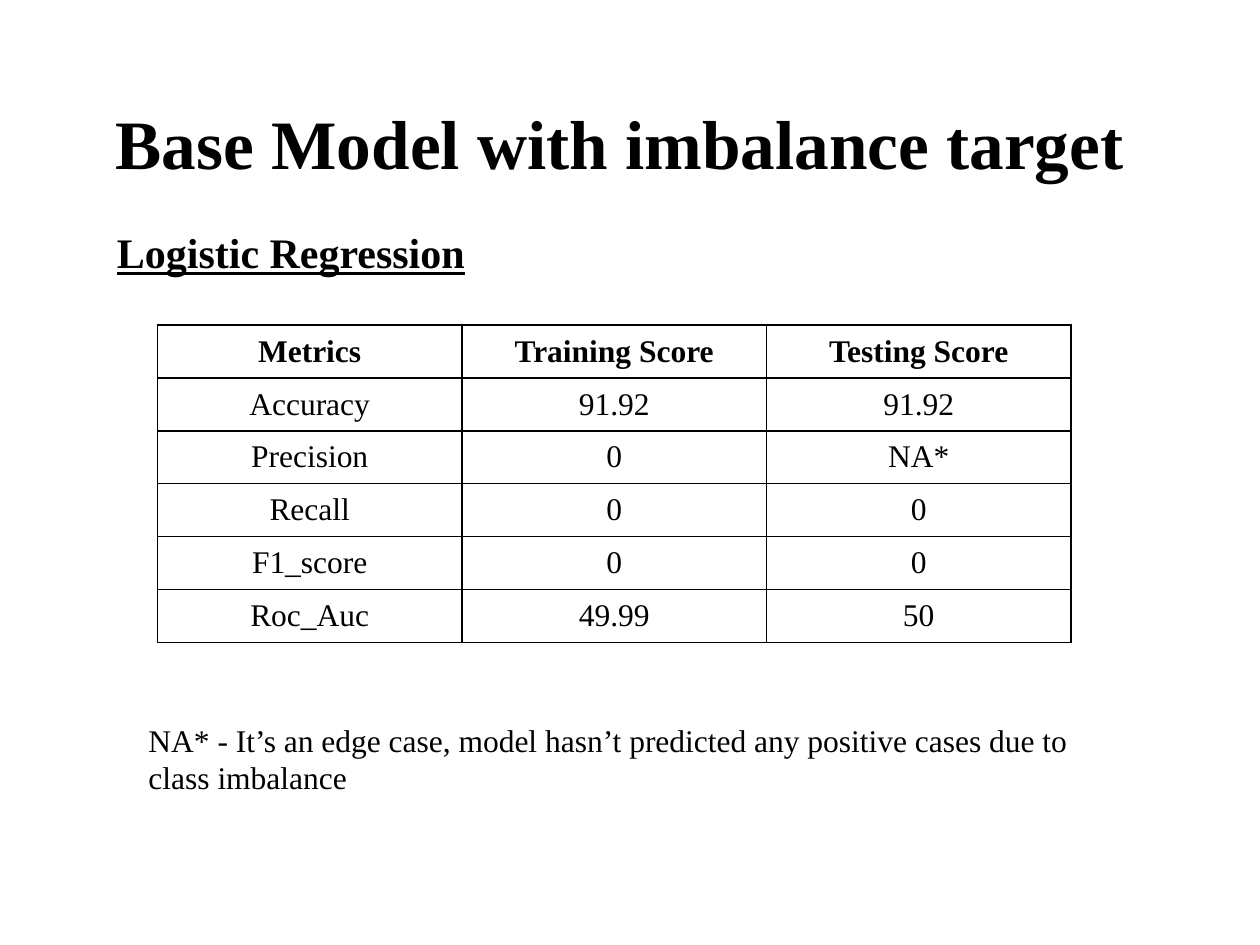
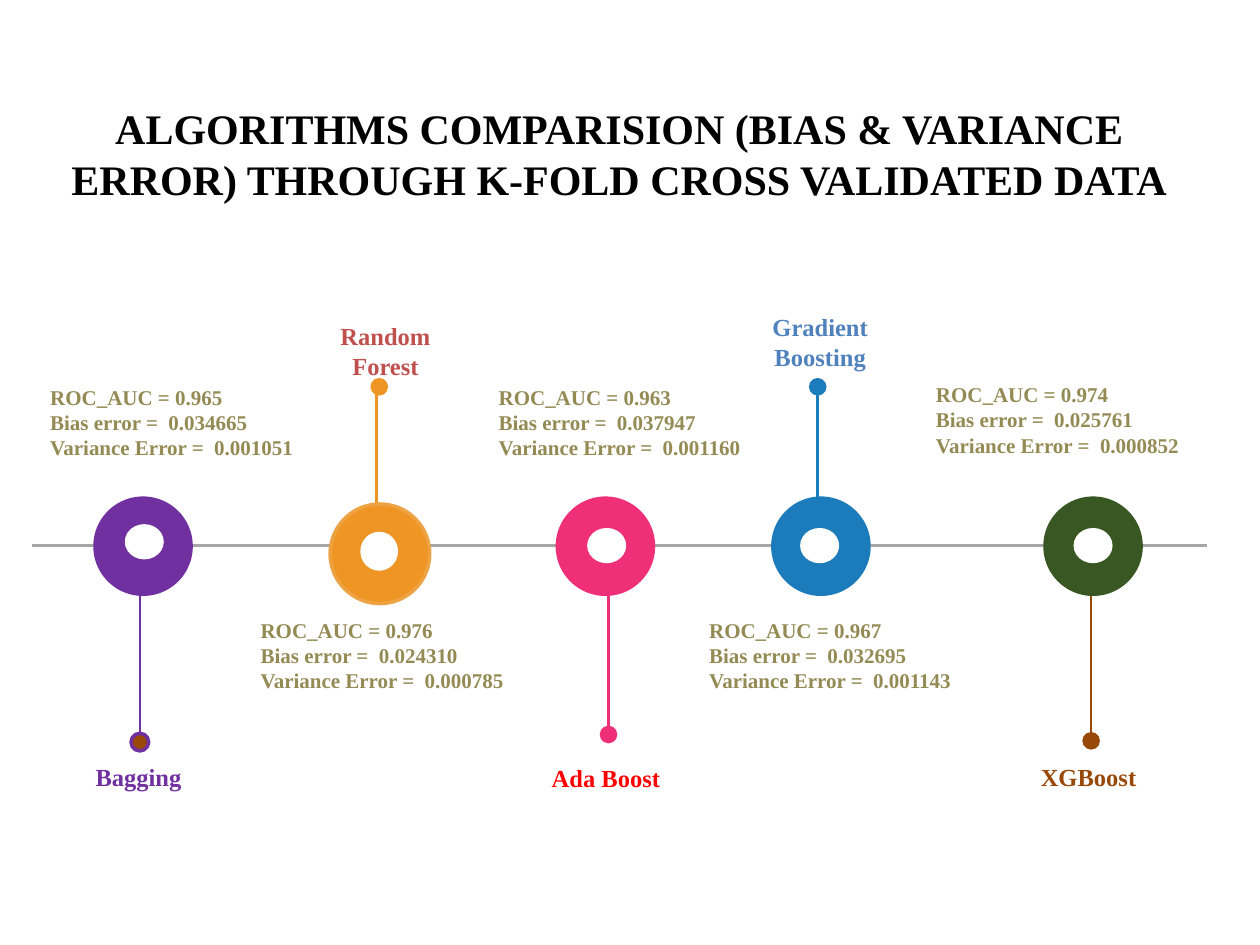
from lxml import etree
from pptx import Presentation, util as u
from pptx.dml import color
from pptx.enum import shapes, text
from pptx.oxml import ns

FONT = "Times New Roman"
BLACK = "000000"
WHITE = "FFFFFF"
KHAKI = "948A54"
MID = text.PP_ALIGN.CENTER
LEFT = text.PP_ALIGN.LEFT
hue = color.RGBColor.from_string


def write(frame, lines, size, tint=BLACK, align=LEFT, bold=True, under=None):
    frame.word_wrap = True
    for i, line in enumerate(lines):
        para = frame.paragraphs[0] if i == 0 else frame.add_paragraph()
        para.alignment = align
        run = para.add_run()
        run.text = line
        font = run.font
        font.name, font.size = FONT, u.Pt(size)
        font.bold, font.underline = bold, under
        font.color.rgb = hue(tint)


def disc(slide, box, fill, edge=None):
    oval = slide.shapes.add_shape(shapes.MSO_SHAPE.OVAL, *map(u.Inches, box))
    oval.shadow.inherit = False
    oval.fill.solid()
    oval.fill.fore_color.rgb = hue(fill)
    if edge:
        oval.line.color.rgb = hue(edge)
        oval.line.width = u.Pt(2)
    else:
        oval.line.fill.background()


deck = Presentation()
deck.slide_width, deck.slide_height = u.Inches(10), u.Inches(7.5)

heads = [
    ("Base Model with imbalance target", 39.6, (0.42, 0.5, 9, 1.25), 0.1),
    ("ALGORITHMS COMPARISION (BIAS & VARIANCE ERROR) THROUGH K-FOLD CROSS VALIDATED DATA",
     24, (0.25, 0.81, 9.33, 0.81), 0),
]
slides = []
for words, size, box, pad in heads:
    slide = deck.slides.add_slide(deck.slide_layouts[5])
    title = slide.shapes.title
    title.left, title.top, title.width, title.height = map(u.Inches, box)
    frame = title.text_frame
    frame.auto_size = text.MSO_AUTO_SIZE.NONE
    frame.vertical_anchor = text.MSO_ANCHOR.MIDDLE
    frame.margin_left = frame.margin_right = u.Inches(pad)
    frame.margin_top = frame.margin_bottom = u.Inches(pad / 2)
    write(frame, [words], size, align=MID)
    slides.append(slide)
base, compare = slides

model = base.shapes.add_textbox(*map(u.Inches, (0.83, 1.75, 3.17, 0.5)))
write(model.text_frame, ["Logistic Regression"], 24, under=True)

scores = [
    ("Metrics", "Training Score", "Testing Score"),
    ("Accuracy", "91.92", "91.92"),
    ("Precision", "0", "NA*"),
    ("Recall", "0", "0"),
    ("F1_score", "0", "0"),
    ("Roc_Auc", "49.99", "50"),
]
grid = base.shapes.add_table(6, 3, *map(u.Inches, (1.25, 2.58, 7.25, 2.52))).table
grid.first_row = grid.horz_banding = False
for r, row in enumerate(scores):
    grid.rows[r].height = u.Inches(0.42)
    for c, value in enumerate(row):
        cell = grid.cell(r, c)
        cell.vertical_anchor = text.MSO_ANCHOR.MIDDLE
        cell.fill.background()
        write(cell.text_frame, [value], 18, align=MID, bold=r == 0)
        props = cell._tc.get_or_add_tcPr()
        for i, side in enumerate("LRTB"):
            edge = etree.Element(ns.qn("a:ln" + side), w=str(u.Pt(1)))
            fill = etree.SubElement(edge, ns.qn("a:solidFill"))
            etree.SubElement(fill, ns.qn("a:srgbClr"), val=BLACK)
            props.insert(i, edge)

note = base.shapes.add_textbox(*map(u.Inches, (1.08, 5.67, 7.58, 0.71)))
write(note.text_frame,
      ["NA* - It’s an edge case, model hasn’t predicted any positive cases due to class imbalance"],
      18, bold=False)

stems = [
    (0.25, 4.33, 9.58, 4.33, "A6A6A6"),
    (1.11, 5.89, 1.11, 4.72, "7030A0"),
    (2.99, 4.06, 2.99, 3.05, "EE9524"),
    (4.83, 5.85, 4.83, 4.57, "EF3078"),
    (6.49, 4.28, 6.49, 3.05, "1C7CBB"),
    (8.66, 5.88, 8.66, 4.47, "984807"),
]
for *ends, tint in stems:
    stem = compare.shapes.add_connector(shapes.MSO_CONNECTOR.STRAIGHT, *map(u.Inches, ends))
    stem.line.color.rgb = hue(tint)
    stem.line.width = u.Pt(1.5)
    etree.SubElement(stem._element.spPr, ns.qn("a:effectLst"))

knobs = [
    (1.04, 5.82, "984807", "7030A0"),
    (2.94, 3, "EE9524", None),
    (4.76, 5.76, "EF3078", None),
    (6.42, 3, "1C7CBB", None),
    (8.59, 5.81, "984807", None),
]
for x, y, fill, edge in knobs:
    disc(compare, (x, y, 0.14, 0.14), fill, edge)

rings = [
    (0.74, 3.94, "7030A0", None, (0.99, 4.16, 0.31, 0.28)),
    (2.62, 4, "EE9524", "EDA244", (2.86, 4.22, 0.3, 0.31)),
    (4.41, 3.94, "EF3078", None, (4.66, 4.19, 0.31, 0.28)),
    (6.12, 3.94, "1C7CBB", None, (6.35, 4.19, 0.31, 0.28)),
    (8.28, 3.94, "385723", None, (8.52, 4.19, 0.31, 0.28)),
]
for x, y, fill, edge, hole in rings:
    disc(compare, (x, y, 0.79, 0.79), fill, edge)
    disc(compare, hole, WHITE)

names = [
    ("Bagging", 0.37, 6, 0.34, "7030A0"),
    ("Random Forest", 2.33, 2.5, 0.57, "C0504D"),
    ("Ada Boost", 4.08, 6.01, 0.57, "FF0000"),
    ("Gradient Boosting", 5.78, 2.43, 0.57, "4F81BD"),
    ("XGBoost", 7.91, 6, 0.34, "984807"),
]
for name, x, y, high, tint in names:
    label = compare.shapes.add_textbox(*map(u.Inches, (x, y, 1.46, high)))
    write(label.text_frame, [name], 14, tint, MID)

errors = [
    (0.3, 3, 2.32, "0.965", "0.034665", "0.001051"),
    (1.97, 4.85, 2.28, "0.976", "0.024310", "0.000785"),
    (3.86, 3, 2.26, "0.963", "0.037947", "0.001160"),
    (5.53, 4.85, 2.22, "0.967", "0.032695", "0.001143"),
    (7.33, 2.98, 2.42, "0.974", "0.025761", "0.000852"),
]
for x, y, wide, roc, bias, spread in errors:
    stats = compare.shapes.add_textbox(*map(u.Inches, (x, y, wide, 0.71)))
    lines = [f"ROC_AUC = {roc}", f"Bias error =  {bias}", f"Variance Error =  {spread}"]
    write(stats.text_frame, lines, 12, KHAKI)

deck.save("out.pptx")
